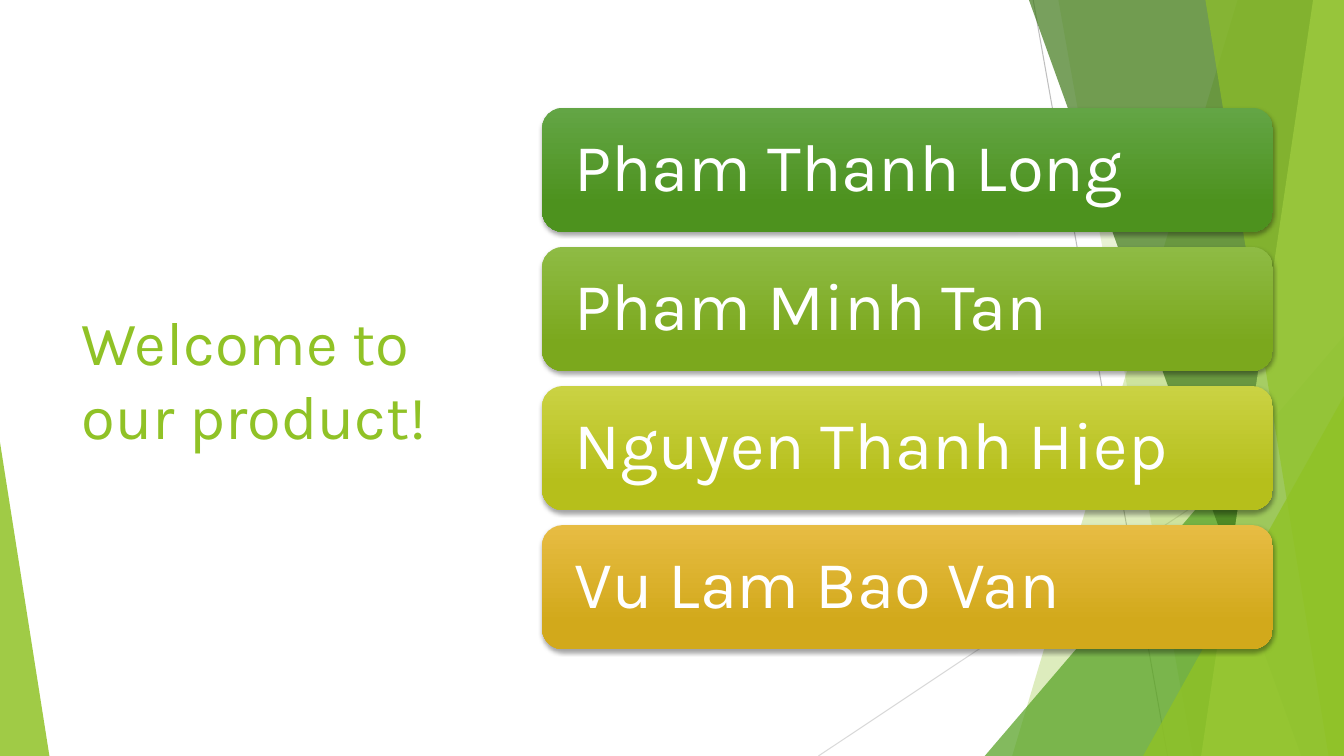
import pptx
import pptx.dml.color
import pptx.enum.shapes
import pptx.enum.text
import pptx.oxml
import pptx.oxml.ns
import pptx.util
from dataclasses import dataclass

Pt = pptx.util.Pt
WIDTH, HEIGHT = 960, 540


@dataclass(frozen=True)
class Theme:
    font: str = "Karla"
    title_size: int = 44
    name_size: int = 48
    lime: str = "90C226"
    pale_lime: str = "C0E474"
    green: str = "54A021"
    dark_green: str = "3F7819"
    white: str = "FFFFFF"
    shadow: str = "000000"
    line: str = "BFBFBF"
    pale_line: str = "D9D9D9"
    # Top and bottom colour of each name card
    cards: tuple = (("63A545", "4D921E"), ("8EBB44", "7BA81D"),
                    ("CAD243", "B6BF1B"), ("E7BC43", "D2A91B"))


def rgb(color):
    return pptx.dml.color.RGBColor.from_string(color)


def add_xml(parent, tag, **attributes):
    child = pptx.oxml.parse_xml(f"<a:{tag} {pptx.oxml.ns.nsdecls('a')}/>")
    for key, value in attributes.items():
        child.set(key, str(value))
    parent.append(child)
    return child


class SlideBuilder:
    def __init__(self, slide, theme):
        self.slide = slide
        self.shapes = slide.shapes
        self.theme = theme

    def line(self, x1, y1, x2, y2, color):
        line = self.shapes.add_connector(
            pptx.enum.shapes.MSO_CONNECTOR.STRAIGHT, Pt(x1), Pt(y1), Pt(x2), Pt(y2))
        line.line.color.rgb = rgb(color)
        line.line.width = Pt(0.75)
        add_xml(line._element.spPr, "effectLst")

    def tint(self, shape, color, opacity):
        """Give a shape a translucent fill without outline or shadow."""
        shape.shadow.inherit = False
        shape.line.fill.background()
        shape.fill.solid()
        shape.fill.fore_color.rgb = rgb(color)
        color_node = shape._element.spPr.find(".//" + pptx.oxml.ns.qn("a:srgbClr"))
        add_xml(color_node, "alpha", val=opacity * 1000)

    def band(self, top_x, bottom_x, color, opacity):
        """Fill from a slanted left edge to the right side of the slide."""
        outline = self.shapes.build_freeform(Pt(top_x), 0, scale=1.0)
        corners = [(WIDTH, 0), (WIDTH, HEIGHT), (bottom_x, HEIGHT)]
        outline.add_line_segments([(Pt(x), Pt(y)) for x, y in corners], close=True)
        self.tint(outline.convert_to_shape(), color, opacity)

    def triangle(self, left, top, width, apex, color, opacity):
        """Stand a triangle on the bottom edge of the slide."""
        triangle = self.shapes.add_shape(
            pptx.enum.shapes.MSO_SHAPE.ISOSCELES_TRIANGLE,
            Pt(left), Pt(top), Pt(width), Pt(HEIGHT - top))
        triangle.adjustments[0] = apex
        self.tint(triangle, color, opacity)

    def set_text(self, frame, text, size, color):
        frame.word_wrap = True
        frame.auto_size = pptx.enum.text.MSO_AUTO_SIZE.NONE
        frame.vertical_anchor = pptx.enum.text.MSO_ANCHOR.MIDDLE
        frame.text = text
        paragraph = frame.paragraphs[0]
        paragraph.alignment = pptx.enum.text.PP_ALIGN.LEFT
        paragraph.font.name = self.theme.font
        paragraph.font.size = Pt(size)
        paragraph.font.color.rgb = rgb(color)
        return paragraph

    def title(self, text, left, top, width, height):
        title = self.shapes.title
        title.left, title.top = Pt(left), Pt(top)
        title.width, title.height = Pt(width), Pt(height)
        self.set_text(title.text_frame, text, self.theme.title_size, self.theme.lime)

    def card(self, name, left, top, width, height, colors):
        card = self.shapes.add_shape(
            pptx.enum.shapes.MSO_SHAPE.ROUNDED_RECTANGLE,
            Pt(left), Pt(top), Pt(width), Pt(height))
        card.line.fill.background()
        card.fill.gradient()
        card.fill.gradient_angle = 270
        for stop, color, position in zip(card.fill.gradient_stops, colors, (0, 0.78)):
            stop.color.rgb = rgb(color)
            stop.position = position

        # Soft shadow below the card
        card.shadow.inherit = False
        effects = card._element.spPr.find(pptx.oxml.ns.qn("a:effectLst"))
        shadow = add_xml(effects, "outerShdw", blurRad=int(Pt(3)), dist=int(Pt(2)),
                         dir=90 * 60000, rotWithShape=0)
        shadow_color = add_xml(shadow, "srgbClr", val=self.theme.shadow)
        add_xml(shadow_color, "alpha", val=35000)

        frame = card.text_frame
        frame.margin_left = frame.margin_right = Pt(18.7)
        paragraph = self.set_text(frame, name, self.theme.name_size, self.theme.white)
        paragraph.line_spacing = 0.9


def main():
    theme = Theme()
    deck = pptx.Presentation()
    deck.slide_width, deck.slide_height = Pt(WIDTH), Pt(HEIGHT)
    builder = SlideBuilder(deck.slides.add_slide(deck.slide_layouts[5]), theme)

    # Facets along the slide edges, back to front
    builder.line(738, 0, 834, HEIGHT, theme.line)
    builder.line(WIDTH, 290, 584.6, HEIGHT, theme.pale_line)
    builder.band(884, 723, theme.lime, 30)
    builder.band(756, 852, theme.lime, 20)
    builder.triangle(703.4, 240, 256.6, 1, theme.green, 72)
    builder.band(735, 929.5, theme.dark_green, 70)
    builder.band(938, 858, theme.pale_lime, 70)
    builder.band(861, 949, theme.lime, 65)
    builder.triangle(816.5, 283, 143.5, 1, theme.lime, 80)
    builder.triangle(0, 316, 35.3, 0, theme.lime, 85)

    # Title
    builder.title("Welcome to our product!", 51, 108.7, 279.4, 322.6)

    # Team members
    members = ["Pham Thanh Long", "Pham Minh Tan", "Nguyen Thanh Hiep", "Vu Lam Bao Van"]
    card_top, card_pitch = 77, 99.36
    for index, (member, colors) in enumerate(zip(members, theme.cards)):
        builder.card(member, 387.2, card_top + index * card_pitch, 522, 88.6, colors)

    deck.save("out.pptx")


if __name__ == "__main__":
    main()
